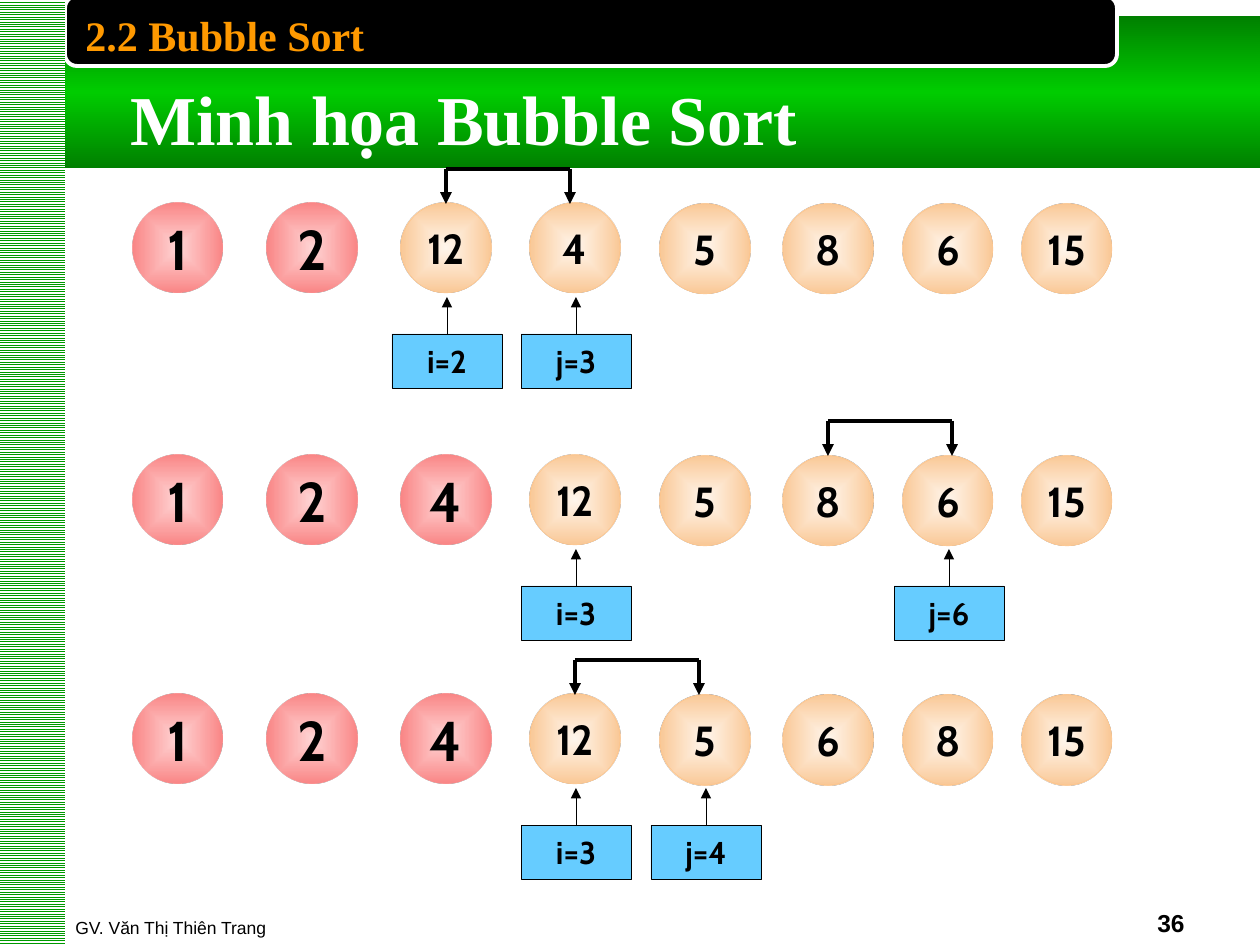
"""Builds the slide that illustrates three steps of the sort."""
from lxml.etree import SubElement
from pptx import Presentation
from pptx.dml.color import RGBColor
from pptx.enum.dml import MSO_PATTERN
from pptx.enum.shapes import MSO_CONNECTOR, MSO_SHAPE
from pptx.enum.text import MSO_ANCHOR, PP_ALIGN
from pptx.oxml import parse_xml
from pptx.oxml.ns import nsdecls, qn
from pptx.util import Emu, Pt

SCALE = 914400 / 126
BLACK = RGBColor(0x00, 0x00, 0x00)
WHITE = RGBColor(0xFF, 0xFF, 0xFF)
GREEN = RGBColor(0x00, 0x99, 0x00)
ORANGE = RGBColor(0xFF, 0x99, 0x00)
BLUE = RGBColor(0x66, 0xCC, 0xFF)
PEACH_EDGE = RGBColor(0xFF, 0xC4, 0x89)
BAND_STOPS = [(0, "008000", 100), (50, "00CC00", 100), (100, "008000", 100)]
RED_STOPS = [(0, "FF8989", 35), (100, "FA8686", 100)]
PEACH_STOPS = [(0, "FFCC99", 17), (100, "FAC896", 100)]
LINEAR = '<a:lin ang="5400000" scaled="1"/>'
RADIAL = '<a:path path="shape"><a:fillToRect l="50000" t="50000" r="50000" b="50000"/></a:path>'

deck = Presentation()
deck.slide_width, deck.slide_height = Emu(round(1260 * SCALE)), Emu(round(945 * SCALE))
page = deck.slides.add_slide(deck.slide_layouts[6])


def add_block(kind, left, top, width, height, fill=None, stops=None, direction=RADIAL,
              edge=None, weight=0.25, text=None, size=18):
    block = page.shapes.add_shape(kind, *(Emu(round(n * SCALE)) for n in (left, top, width, height)))
    block.shadow.inherit = False
    if fill is not None:
        block.fill.solid()
        block.fill.fore_color.rgb = fill
    if stops:
        block.fill.background()
        stop_xml = "".join(
            f'<a:gs pos="{place * 1000}"><a:srgbClr val="{color}">'
            f'<a:alpha val="{alpha * 1000}"/></a:srgbClr></a:gs>'
            for place, color, alpha in stops)
        properties = block._element.spPr
        properties.replace(properties.find(qn("a:noFill")), parse_xml(
            f'<a:gradFill {nsdecls("a")} rotWithShape="1">'
            f'<a:gsLst>{stop_xml}</a:gsLst>{direction}</a:gradFill>'))
    if edge is None:
        block.line.fill.background()
    else:
        block.line.color.rgb = edge
        block.line.width = Pt(weight)
    if text:
        block.text_frame.word_wrap = False
        block.text_frame.vertical_anchor = MSO_ANCHOR.MIDDLE
        para = block.text_frame.paragraphs[0]
        para.text = text
        para.alignment = PP_ALIGN.CENTER
        para.font.name, para.font.size, para.font.bold = "Cabin", Pt(size), True
        para.font.color.rgb = BLACK
    return block


def add_line(x1, y1, x2, y2, weight, arrow=True):
    line = page.shapes.add_connector(
        MSO_CONNECTOR.STRAIGHT, *(Emu(round(n * SCALE)) for n in (x1, y1, x2, y2)))
    line.line.color.rgb = BLACK
    line.line.width = Pt(weight)
    if arrow:
        SubElement(line.line._get_or_add_ln(), qn("a:tailEnd"), type="triangle")
    SubElement(line._element.spPr, qn("a:effectLst"))
    return line


add_block(MSO_SHAPE.RECTANGLE, 0, 16, 1261, 152, stops=BAND_STOPS, direction=LINEAR)
header = add_block(MSO_SHAPE.ROUNDED_RECTANGLE, 65, -4, 1052, 70, BLACK, edge=WHITE, weight=2.25)
header.adjustments[0] = 0.17
stripes = add_block(MSO_SHAPE.RECTANGLE, -1, 0, 66, 945)
stripes.fill.patterned()
stripes.fill.pattern = MSO_PATTERN.LIGHT_HORIZONTAL
stripes.fill.fore_color.rgb = GREEN
stripes.fill.back_color.rgb = WHITE

for text, left, top, width, height, font, size, bold, color, align, anchor, wrap in [
    ("GV. Văn Thị Thiên Trang", 63, 881, 766, 63, "Arial", 10, False, BLACK,
     PP_ALIGN.LEFT, MSO_ANCHOR.BOTTOM, True),
    ("36", 903, 881, 294, 63, "Arial", 14, True, BLACK,
     PP_ALIGN.RIGHT, MSO_ANCHOR.BOTTOM, True),
    ("Minh họa Bubble Sort", 118, 69, 693, 97, "Times New Roman", 40, True, WHITE,
     PP_ALIGN.LEFT, MSO_ANCHOR.TOP, False),
    ("2.2 Bubble Sort", 73, 3, 966, 63, "Times New Roman", 24, True, ORANGE,
     PP_ALIGN.LEFT, MSO_ANCHOR.TOP, True),
]:
    box = page.shapes.add_textbox(*(Emu(round(n * SCALE)) for n in (left, top, width, height)))
    box.text_frame.word_wrap = wrap
    box.text_frame.vertical_anchor = anchor
    para = box.text_frame.paragraphs[0]
    para.text = text
    para.alignment = align
    para.font.name, para.font.size, para.font.bold = font, Pt(size), bold
    para.font.color.rgb = color

COLUMNS = [133, 267, 401, 530, 660, 783, 903, 1022]
BALL = 90
STEPS = [
    (203, [1, 2, 12, 4, 5, 8, 6, 15], 2, {"i=2": 2, "j=3": 3}, 2),
    (455, [1, 2, 4, 12, 5, 8, 6, 15], 3, {"i=3": 3, "j=6": 6}, 5),
    (694, [1, 2, 4, 12, 5, 6, 8, 15], 3, {"i=3": 3, "j=4": 4}, 3),
]

for top, values, sorted_count, markers, swap in STEPS:
    for column, (left, value) in enumerate(zip(COLUMNS, values)):
        if column < sorted_count:
            add_block(MSO_SHAPE.OVAL, left, top, BALL, BALL, stops=RED_STOPS,
                      text=str(value), size=32)
        else:
            add_block(MSO_SHAPE.OVAL, left, top + (column > 3), BALL, BALL, stops=PEACH_STOPS,
                      edge=PEACH_EDGE, text=str(value), size=24)
    for label, column in markers.items():
        left = COLUMNS[column] - 9
        marker = add_block(MSO_SHAPE.RECTANGLE, left, top + 131, 110, 54, BLUE,
                           edge=BLACK, text=label)
        pointer = add_line(left + 55, top + 131, left + 55, top + 94, 0.25)
        pointer.begin_connect(marker, 0)
    start = COLUMNS[swap] + BALL // 2
    end = start + 124
    add_line(start, top - 34, end, top - 34, 2.25, arrow=False)
    for x in (start, end):
        add_line(x, top - 34, x, top + 1, 2.25)

deck.save("out.pptx")
